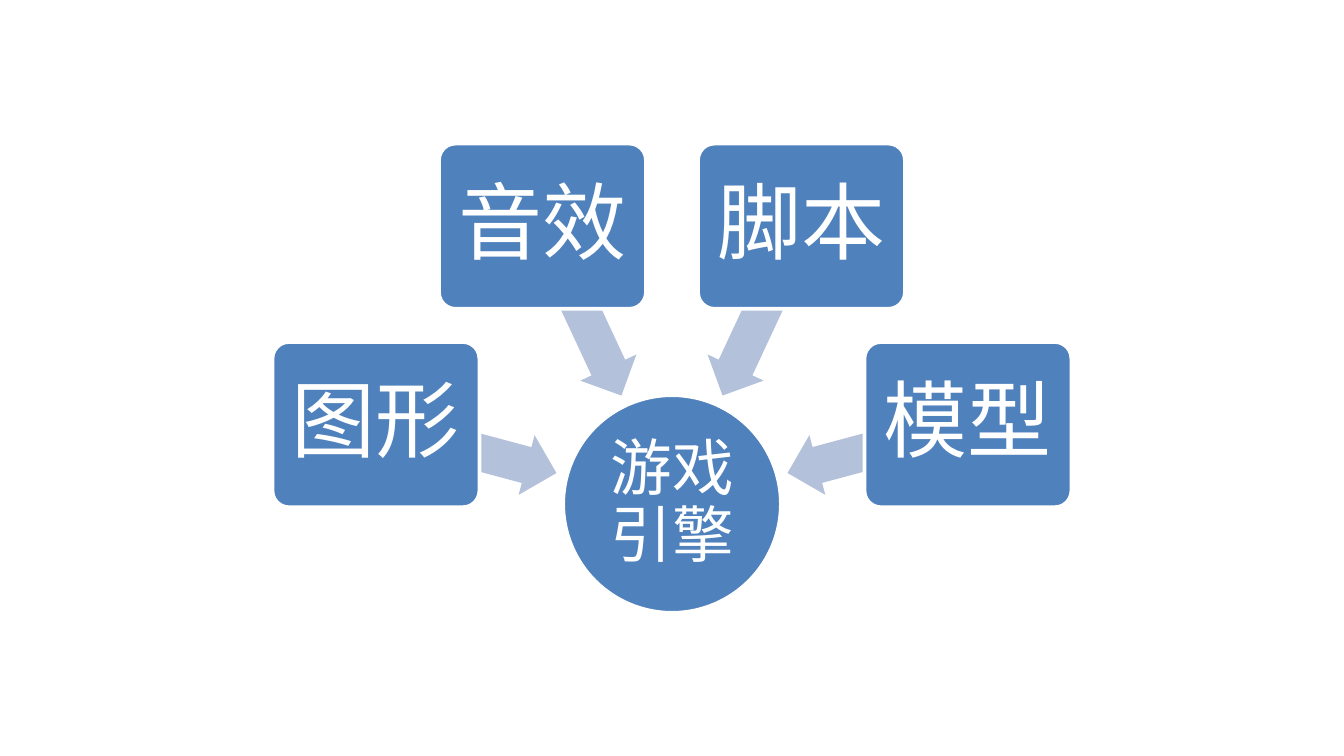
from dataclasses import dataclass
from math import cos, radians, sin

from pptx import Presentation
from pptx.dml.color import RGBColor
from pptx.enum.shapes import MSO_SHAPE
from pptx.enum.text import MSO_ANCHOR, PP_ALIGN
from pptx.util import Inches, Pt

OVAL = MSO_SHAPE.OVAL
CARD = MSO_SHAPE.ROUNDED_RECTANGLE
ARROW = MSO_SHAPE.LEFT_ARROW
MIDDLE = MSO_ANCHOR.MIDDLE
CENTER = PP_ALIGN.CENTER


@dataclass(frozen=True)
class Theme:
    blue: RGBColor = RGBColor(0x4F, 0x81, 0xBD)
    pale: RGBColor = RGBColor(0xB3, 0xC1, 0xDB)
    white: RGBColor = RGBColor(0xFF, 0xFF, 0xFF)
    font: str = "Calibri"
    hub_size: int = 33
    card_size: int = 45
    outline: int = 2


THEME = Theme()
HUB = "游戏引擎"
PARTS = ["图形", "音效", "脚本", "模型"]


def add_centered(page, kind, center, size, fill, adjustments=()):
    """Place a plain filled shape around a centre point."""
    (x, y), (width, height) = center, size
    shape = page.shapes.add_shape(
        kind, Inches(x - width / 2), Inches(y - height / 2),
        Inches(width), Inches(height))
    shape.shadow.inherit = False
    shape.fill.solid()
    shape.fill.fore_color.rgb = fill
    shape.line.fill.background()
    for index, value in enumerate(adjustments):
        shape.adjustments[index] = value
    return shape


def add_label(shape, text, size, inset):
    """Give a shape its white outline and centred label."""
    shape.line.color.rgb = THEME.white
    shape.line.width = Pt(THEME.outline)
    frame = shape.text_frame
    frame.word_wrap = True
    frame.vertical_anchor = MIDDLE
    for side in ("left", "top", "right", "bottom"):
        setattr(frame, f"margin_{side}", Inches(inset))
    para = frame.paragraphs[0]
    spacing = {"alignment": CENTER, "line_spacing": 0.9,
               "space_after": Pt(0.35 * size)}
    for name, value in spacing.items():
        setattr(para, name, value)
    span = para.add_run()
    span.text = text
    for name, value in {"name": THEME.font, "size": Pt(size)}.items():
        setattr(span.font, name, value)
    span.font.color.rgb = THEME.white


def add_radial_diagram(page, box, hub_text, part_texts):
    """Hub at the bottom centre of the box, parts fanned out above it."""
    left, top, width, height = box
    hub_diameter = 1.62
    arrow_radius, card_radius = 1.59, 2.28
    first_angle, last_angle = 195, 345
    hub_x, hub_y = left + width / 2, top + height - hub_diameter / 2

    def on_circle(radius, angle):
        turn = radians(angle)
        return hub_x + radius * cos(turn), hub_y + radius * sin(turn)

    # Hub
    hub = add_centered(page, OVAL, (hub_x, hub_y),
                       (hub_diameter, hub_diameter), THEME.blue)
    add_label(hub, hub_text, THEME.hub_size, 0.02)

    # Arrows towards the hub, each partly covered by its card
    step = (last_angle - first_angle) / (len(part_texts) - 1)
    for index, text in enumerate(part_texts):
        angle = first_angle + index * step
        arrow = add_centered(page, ARROW, on_circle(arrow_radius, angle),
                             (1.4, 0.46), THEME.pale, (0.6, 0.5))
        arrow.rotation = angle
        card = add_centered(page, CARD, on_circle(card_radius, angle),
                            (1.54, 1.23), THEME.blue, (0.1,))
        add_label(card, text, THEME.card_size, 0.09)


def main():
    deck = Presentation()
    # Widescreen, 16:9
    deck.slide_width = Inches(10)
    deck.slide_height = Inches(10 * 9 / 16)
    page = deck.slides.add_slide(deck.slide_layouts[6])
    add_radial_diagram(page, (2.02, 1.06, 5.96, 3.5), HUB, PARTS)
    deck.save("out.pptx")


if __name__ == "__main__":
    main()
